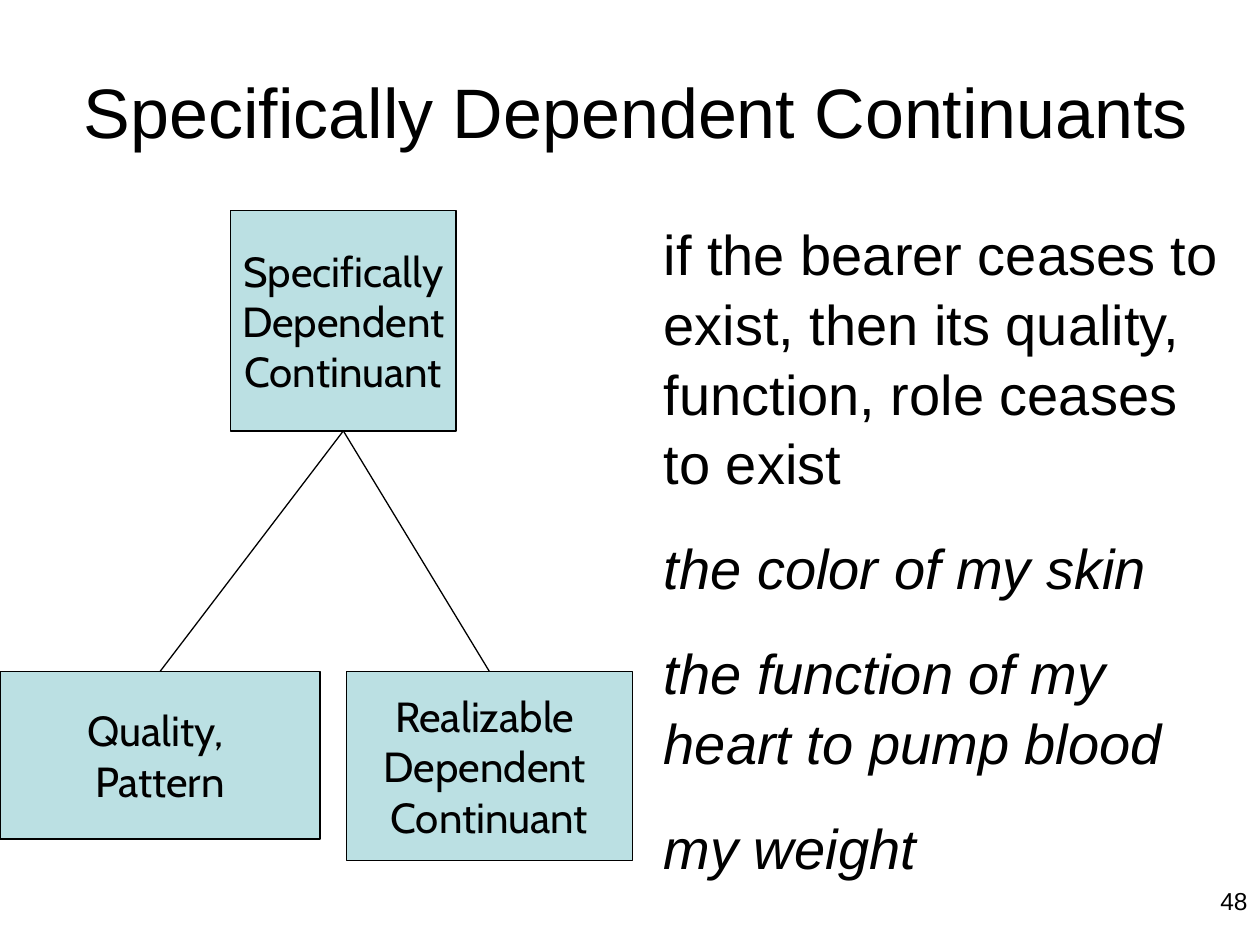
from dataclasses import dataclass

from lxml import etree
from pptx import Presentation
from pptx.dml.color import RGBColor
from pptx.enum import shapes, text
from pptx.oxml import ns
from pptx.util import Inches, Pt


@dataclass(frozen=True)
class Theme:
    ink: RGBColor = RGBColor(0, 0, 0)
    node_fill: RGBColor = RGBColor(0xBB, 0xE0, 0xE3)
    body_font: str = "Arial"
    node_font: str = "Cabin"
    title_size: int = 40
    body_size: int = 32
    node_size: int = 24
    number_size: int = 14
    line_width: float = 0.75


THEME = Theme()
BOTTOM, TOP = 2, 0


def style_text(frame, font, size, align):
    for para in frame.paragraphs:
        para.alignment = align
        for span in para.runs:
            span.font.name = font
            span.font.size = Pt(size)
            span.font.color.rgb = THEME.ink


def add_text(page, box, wording, size, align, anchor=text.MSO_ANCHOR.TOP):
    frame = page.shapes.add_textbox(*map(Inches, box)).text_frame
    frame.word_wrap = True
    frame.vertical_anchor = anchor
    frame.text = wording
    style_text(frame, THEME.body_font, size, align)
    return frame


def add_node(page, box, wording):
    node = page.shapes.add_shape(shapes.MSO_SHAPE.RECTANGLE, *map(Inches, box))
    node.shadow.inherit = False
    node.fill.solid()
    node.fill.fore_color.rgb = THEME.node_fill
    node.line.color.rgb = THEME.ink
    node.line.width = Pt(THEME.line_width)
    frame = node.text_frame
    frame.word_wrap = False
    frame.vertical_anchor = text.MSO_ANCHOR.MIDDLE
    frame.text = wording
    style_text(frame, THEME.node_font, THEME.node_size, text.PP_ALIGN.CENTER)
    return node


def join(page, parent, child):
    line = page.shapes.add_connector(shapes.MSO_CONNECTOR.STRAIGHT, 0, 0, 0, 0)
    line.begin_connect(parent, BOTTOM)
    line.end_connect(child, TOP)
    line.line.color.rgb = THEME.ink
    line.line.width = Pt(THEME.line_width)
    etree.SubElement(line._element.spPr, ns.qn("a:effectLst"))


def add_tree(page, box):
    left, top, width, height = box
    child_top = top + 3.66
    parent = add_node(page, (left + 1.83, top, 1.79, 1.75),
                      "Specifically\nDependent\nContinuant")
    children = [
        add_node(page, (left, child_top, 2.54, 1.33), "Quality, \vPattern"),
        add_node(page, (left + 2.75, child_top, width - 2.75, height - 3.66),
                 "Realizable \nDependent \nContinuant"),
    ]
    for child in children:
        join(page, parent, child)


def add_explanation(page, box):
    statement = ("if the bearer ceases to exist, then its quality, "
                 "function, role ceases to exist")
    examples = ["the color of my skin",
                "the function of my heart to pump blood",
                "my weight"]
    frame = add_text(page, box, "\n".join([statement, *examples]),
                     THEME.body_size, text.PP_ALIGN.LEFT)
    for para in frame.paragraphs:
        para.line_spacing = 1.04
    for para in frame.paragraphs[1:]:
        para.space_before = Pt(20)
        para.runs[0].font.italic = True


def main():
    deck = Presentation()
    deck.slide_width, deck.slide_height = Inches(10), Inches(7.5)
    page = deck.slides.add_slide(deck.slide_layouts[6])

    # Title
    add_text(page, (0.42, 0.25, 9.25, 1.25), "Specifically Dependent Continuants",
             THEME.title_size, text.PP_ALIGN.CENTER, text.MSO_ANCHOR.MIDDLE)
    # Class tree on the left, explanation on the right
    add_tree(page, (0, 1.67, 5.02, 5.16))
    add_explanation(page, (5.17, 1.67, 4.75, 5.2))
    # Page number
    add_text(page, (7.67, 6.98, 2.33, 0.52), "48",
             THEME.number_size, text.PP_ALIGN.RIGHT)

    deck.save("out.pptx")


if __name__ == "__main__":
    main()
